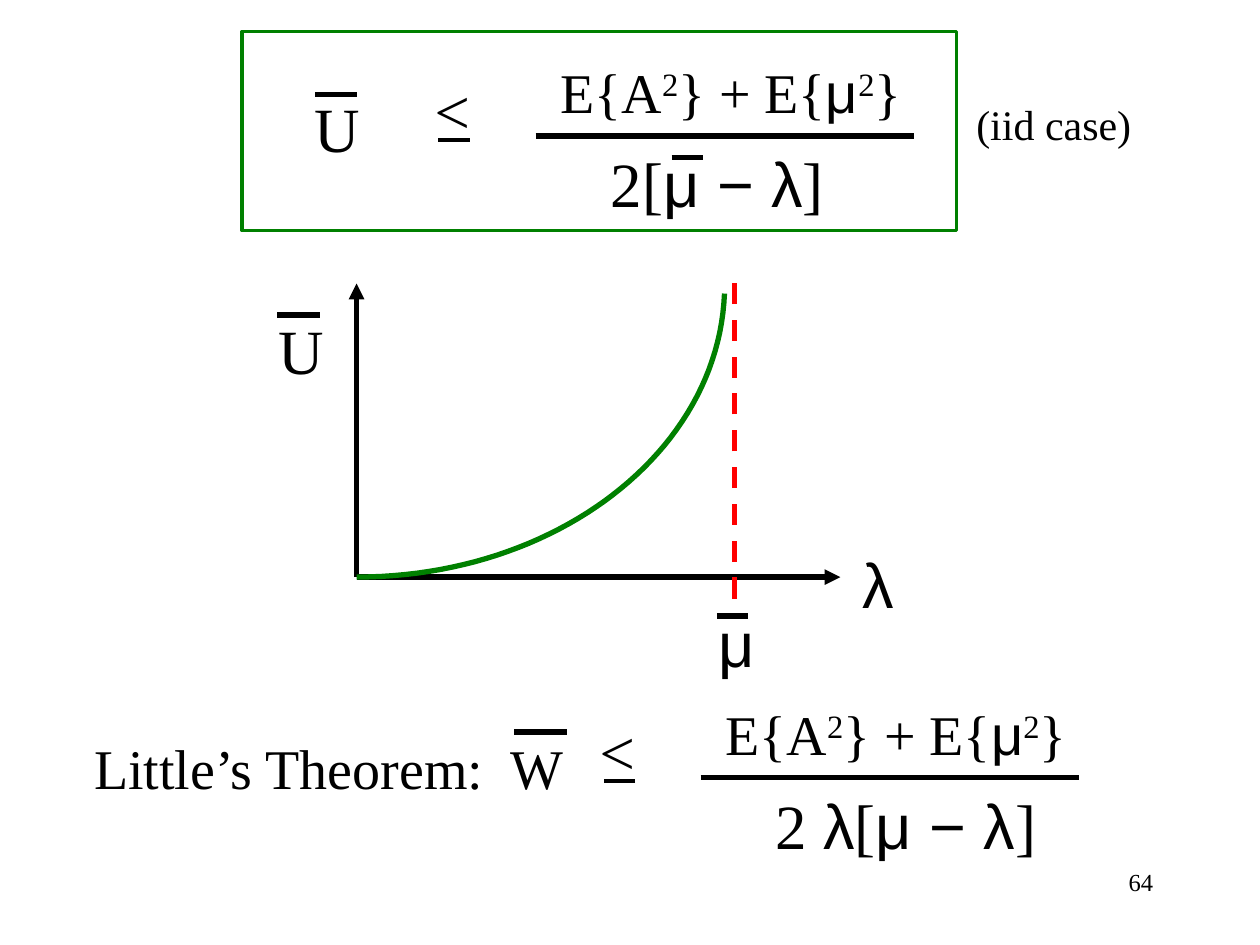
from lxml.etree import SubElement
from pptx import Presentation
from pptx.dml.color import RGBColor
from pptx.enum.dml import MSO_LINE
from pptx.enum.shapes import MSO_CONNECTOR, MSO_SHAPE
from pptx.enum.text import MSO_AUTO_SIZE, PP_ALIGN
from pptx.oxml.ns import qn
from pptx.util import Inches, Pt


class Theme:
    ink = RGBColor(0, 0, 0)
    green = RGBColor(0, 128, 0)
    red = RGBColor(255, 0, 0)
    serif, sans = "Times New Roman", "Arial"
    big, mid, small, tiny = 36, 32, 24, 14
    thick, thin = 3, 2


# Content: a formula is a list of (text, style) runs
TOP = [("E{A", ""), ("2", "sup"), ("} + E{", ""), ("μ", "greek"),
       ("2", "sup"), ("}", "")]
# left and top of the fraction bar, denominator, its left offset and width
BOUNDS = [
    (4.25, 1.08, [("2[", ""), ("μ − λ", "greek"), ("]", "")], 0.5, 2.01),
    (5.56, 6.17, [("2 ", ""), ("λ", "greek"), ("[", ""),
                  ("μ − λ", "greek"), ("]", "")], 0.5, 2.41),
]
# text, left, top, width, height, format
LABELS = [
    ("U", 2.4, 0.66, 0.56, 0.7, {}),
    ("(iid case)", 7.65, 0.73, 1.43, 0.5, {"size": Theme.small}),
    ("U", 2.11, 2.42, 0.56, 0.7, {}),
    ([("λ", "greek")], 6.75, 4.28, 0.47, 0.7, {}),
    ([("μ", "greek")], 5.6, 4.75, 0.49, 0.7, {}),
    ("Little’s Theorem:\tW", 0.65, 5.77, 3.97, 0.64,
     {"size": Theme.mid, "tab": 3.3}),
    ("64", 7.17, 6.83, 2.08, 0.5,
     {"size": Theme.tiny, "align": PP_ALIGN.RIGHT, "wrap": True}),
]
# left, top and width of the mean bars over U, μ, U, μ and W
MEANS = [(2.5, 0.75, 0.33), (5.33, 1.25, 0.25), (2.2, 2.5, 0.34),
         (5.69, 4.89, 0.25), (4.08, 5.81, 0.42)]
ORIGIN = (2.83, 4.58)
AXES = [(6.67, 4.58), (2.83, 2.25)]
CURVE = [ORIGIN, (4.41, 4.58), (5.7, 3.59), (5.75, 2.33)]
STEPS = 48

deck = Presentation()
deck.slide_width, deck.slide_height = Inches(10), Inches(7.5)
slide = deck.slides.add_slide(deck.slide_layouts[6])
shapes = slide.shapes


def write(text, left, top, width, height, size=Theme.big, turn=0, tab=None,
          align=PP_ALIGN.LEFT, wrap=False):
    box = shapes.add_textbox(*map(Inches, (left, top, width, height)))
    box.rotation = turn
    frame = box.text_frame
    frame.word_wrap = wrap
    frame.auto_size = MSO_AUTO_SIZE.NONE if wrap else MSO_AUTO_SIZE.SHAPE_TO_FIT_TEXT
    para = frame.paragraphs[0]
    para.alignment = align
    if tab:
        stops = SubElement(para._p.get_or_add_pPr(), qn("a:tabLst"))
        SubElement(stops, qn("a:tab"), pos=str(Inches(tab)), algn="l")
    for part, style in [(text, "")] if isinstance(text, str) else text:
        run = para.add_run()
        run.text = part
        run.font.size = Pt(size)
        run.font.name = Theme.sans if style == "greek" else Theme.serif
        run.font.color.rgb = Theme.ink
        if style == "sup":
            run._r.get_or_add_rPr().set("baseline", "30000")


def rule(start, end, color=Theme.ink, weight=Theme.thick, dash=None, arrow=False):
    line = shapes.add_connector(MSO_CONNECTOR.STRAIGHT,
                                *map(Inches, (*start, *end)))
    line.line.color.rgb = color
    line.line.width = Pt(weight)
    if dash:
        line.line.dash_style = dash
    if arrow:
        SubElement(line.line._get_or_add_ln(), qn("a:tailEnd"), type="triangle")
    SubElement(line._element.spPr, qn("a:effectLst"))


def outline(shape, weight):
    shape.shadow.inherit = False
    shape.fill.background()
    shape.line.color.rgb = Theme.green
    shape.line.width = Pt(weight)


def bezier(t):
    weights = ((1 - t) ** 3, 3 * t * (1 - t) ** 2, 3 * t * t * (1 - t), t ** 3)
    return tuple(Inches(sum(w * point[axis] for w, point in zip(weights, CURVE)))
                 for axis in (0, 1))


# Bounds: less-or-equal sign, then the fraction
for left, top, below, shift, width in BOUNDS:
    write(">", left - 0.9, top - 0.5, 0.48, 0.7, turn=180)
    rule((left - 0.52, top + 0.03), (left - 0.77, top + 0.03), weight=Theme.thin)
    rule((left, top), (left + 3, top))
    write(TOP, left + 0.1, top - 0.67, 3, 0.64, size=Theme.mid)
    write(below, left + shift, top + 0.02, width, 0.7)

# Labels and mean bars
for text, left, top, width, height, style in LABELS:
    write(text, left, top, width, height, **style)
for left, top, width in MEANS:
    rule((left, top), (left + width, top))

# Graph: axes, asymptote and curve
for tip in AXES:
    rule(ORIGIN, tip, arrow=True)
rule((5.83, 4.75), (5.83, 2.17), color=Theme.red, dash=MSO_LINE.DASH)
points = [bezier(i / STEPS) for i in range(STEPS + 1)]
curve = shapes.build_freeform(*points[0])
curve.add_line_segments(points[1:], close=False)
outline(curve.convert_to_shape(), Theme.thick)

# Frame around the main result
frame = shapes.add_shape(MSO_SHAPE.RECTANGLE,
                         *map(Inches, (1.92, 0.25, 5.67, 1.58)))
outline(frame, Theme.thin)

deck.save("out.pptx")
